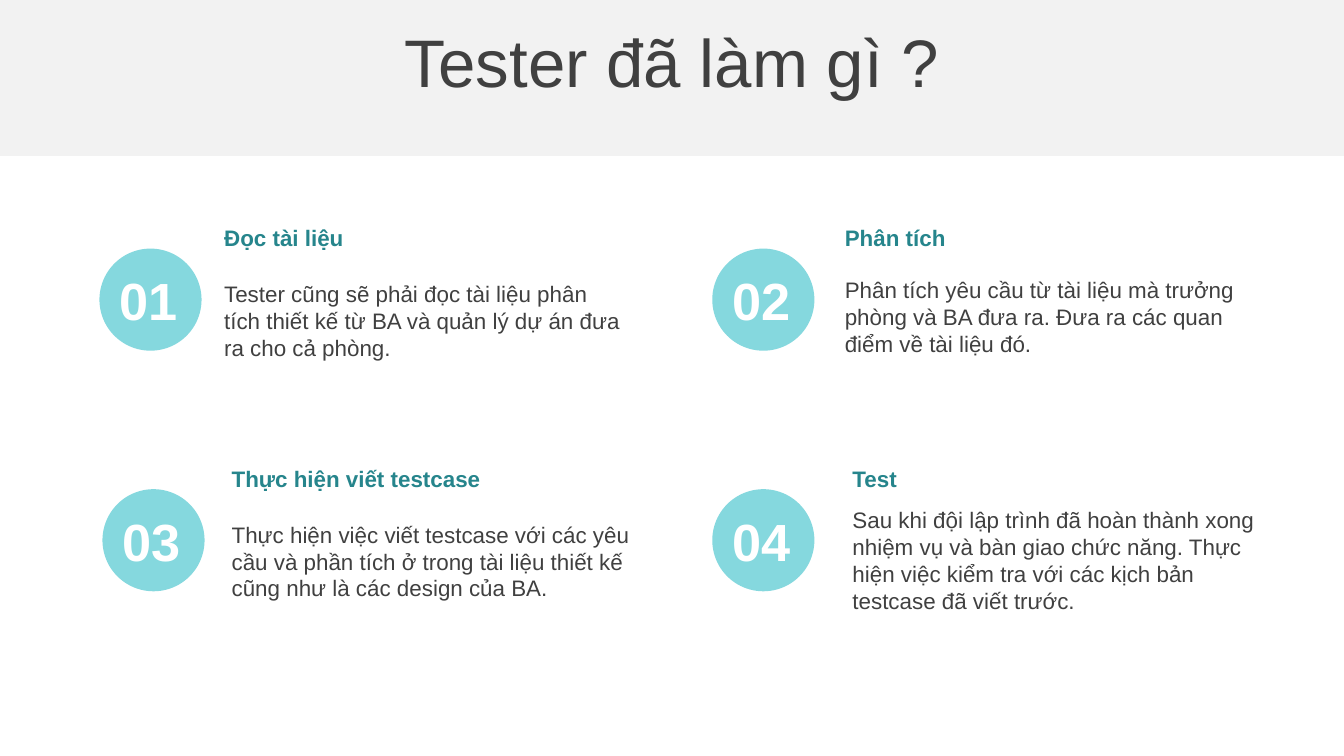
from pptx import Presentation
from pptx.dml.color import RGBColor
from pptx.enum.shapes import MSO_SHAPE as Shape
from pptx.enum.text import MSO_ANCHOR as Anchor, PP_ALIGN as Align
from pptx.util import Pt

TITLE = "Tester đã làm gì ?"
# number, heading, body, circle left, circle top, text left, body top, body height
STEPS = [
    ("01", "Đọc tài liệu",
     "Tester cũng sẽ phải đọc tài liệu phân tích thiết kế từ BA và quản lý dự án đưa ra cho cả phòng.",
     53.3, 133.2, 113, 146.2, 51),
    ("02", "Phân tích",
     "Phân tích yêu cầu từ tài liệu mà trưởng phòng và BA đưa ra. Đưa ra các quan điểm về tài liệu đó.",
     381.6, 133.2, 445.5, 144, 51),
    ("03", "Thực hiện viết testcase",
     "Thực hiện việc viết testcase với các yêu cầu và phần tích ở trong tài liệu thiết kế cũng như là các design của BA.",
     54.9, 262.1, 117, 275.1, 51),
    ("04", "Test",
     "Sau khi đội lập trình đã hoàn thành xong nhiệm vụ và bàn giao chức năng. Thực hiện việc kiểm tra với các kịch bản testcase đã viết trước.",
     381.6, 262.1, 449.6, 267.4, 65.5),
]

WIDTH, HEIGHT = 720, 405
CIRCLE = 54.7
NUMBER_WIDTH, NUMBER_HEIGHT = 47.5, 34
TEXT_WIDTH = 231
HEADING_HEIGHT, HEADING_RISE = 21.8, 16.6

TITLE_FORMAT = {"size": Pt(36), "bold": False}
NUMBER_FORMAT = {"size": Pt(28), "bold": True}
HEADING_FORMAT = {"size": Pt(12), "bold": True}
BODY_FORMAT = {"size": Pt(12), "bold": False}
GRAY, PALE, TEAL, AQUA, WHITE = "404040", "F2F2F2", "26858C", "85D8DE", "FFFFFF"


def color(value):
    return RGBColor.from_string(value)


def add_filled(slide, kind, box, fill):
    shape = slide.shapes.add_shape(kind, *map(Pt, box))
    shape.shadow.inherit = False
    shape.fill.solid()
    shape.fill.fore_color.rgb = color(fill)
    shape.line.fill.background()


def add_text(slide, text, box, font_format, font_color, padding=3.6):
    """Add a wrapped, vertically centred text box and return its paragraph."""
    frame = slide.shapes.add_textbox(*map(Pt, box)).text_frame
    frame.word_wrap = True
    frame.vertical_anchor = Anchor.MIDDLE
    frame.margin_top = frame.margin_bottom = Pt(padding)
    paragraph = frame.paragraphs[0]
    run = paragraph.add_run()
    run.text = text
    run.font.name = "Arial"
    run.font.color.rgb = color(font_color)
    for name, value in font_format.items():
        setattr(run.font, name, value)
    return paragraph


def add_step(slide, number, heading, body, left, top, text_left, body_top, body_height):
    add_filled(slide, Shape.OVAL, (left, top, CIRCLE, CIRCLE), AQUA)
    number_box = (left + (CIRCLE - NUMBER_WIDTH) / 2, top + (CIRCLE - NUMBER_HEIGHT) / 2,
                  NUMBER_WIDTH, NUMBER_HEIGHT)
    add_text(slide, number, number_box, NUMBER_FORMAT, WHITE, padding=0)
    add_text(slide, body, (text_left, body_top, TEXT_WIDTH, body_height), BODY_FORMAT, GRAY)
    heading_box = (text_left, top - HEADING_RISE, TEXT_WIDTH, HEADING_HEIGHT)
    add_text(slide, heading, heading_box, HEADING_FORMAT, TEAL)


def main():
    presentation = Presentation()
    presentation.slide_width, presentation.slide_height = Pt(WIDTH), Pt(HEIGHT)
    slide = presentation.slides.add_slide(presentation.slide_layouts[6])
    add_filled(slide, Shape.RECTANGLE, (0, 0, WIDTH, 83.5), PALE)
    title = add_text(slide, TITLE, (0, 10, WIDTH, 45.4), TITLE_FORMAT, GRAY)
    title.alignment = Align.CENTER
    title.space_before = Pt(7.2)
    for step in STEPS:
        add_step(slide, *step)
    presentation.save("out.pptx")


if __name__ == "__main__":
    main()
